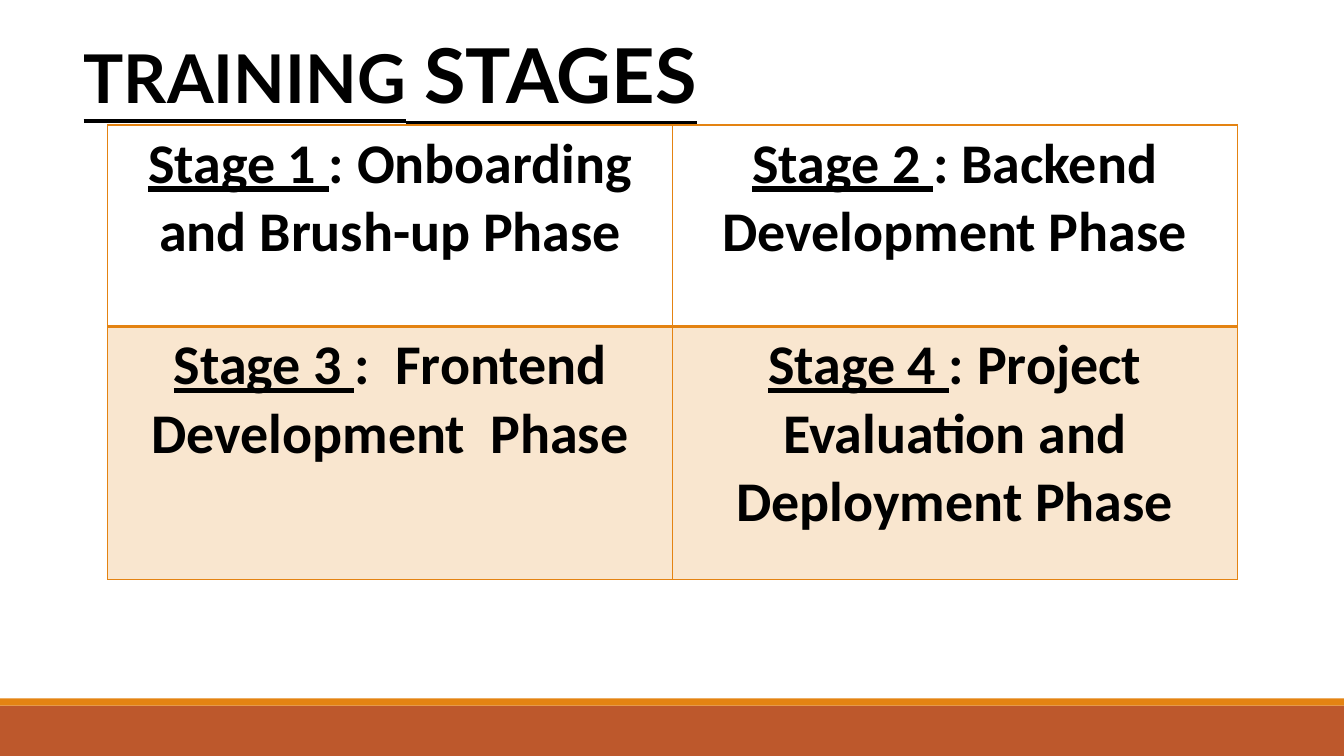
from lxml import etree
from pptx import Presentation
from pptx import util as u
from pptx.dml.color import RGBColor
from pptx.enum import shapes, text
from pptx.oxml.ns import qn

WIDTH, HEIGHT = 13.33, 7.5
BLACK, ORANGE, RUST = "000000", "E48312", "BD582C"

TITLE = [("TRAINING", 48), (" STAGES", 54)]
TITLE_BOX = (0.73, 0.23, 6.36, 1.01)
STAGES = [
    [("Stage 1 ", ": Onboarding and Brush-up Phase"),
     ("Stage 2 ", ": Backend Development Phase")],
    [("Stage 3 ", ":  Frontend Development  Phase"),
     ("Stage 4 ", ": Project Evaluation and Deployment Phase")],
]
GRID_LEFT, GRID_TOP = 1.07, 1.24
COLUMN_WIDTH = 5.6
ROW_HEIGHTS = [2, 2.51]
TINTS = [None, 20]  # percent of orange in each row
DIVIDER = 2         # points, between the two rows
FOOTER = [(7, 0.5, RUST), (6.93, 0.07, ORANGE)]  # top, height, colour


def color(value):
    return RGBColor.from_string(value)


def inches(*values):
    return [u.Inches(v) for v in values]


def add_run(paragraph, words, size, face, underline):
    run = paragraph.add_run()
    run.text = words
    style = {"size": u.Pt(size), "name": face, "bold": True, "underline": underline}
    for key, value in style.items():
        setattr(run.font, key, value)
    run.font.color.rgb = color(BLACK)


def add_borders(cell, widths):
    """Put left, right, top and bottom lines ahead of the cell's fill."""
    properties = cell._tc.get_or_add_tcPr()
    for place, (side, points) in enumerate(zip("LRTB", widths)):
        line = etree.Element(qn(f"a:ln{side}"), w=str(u.Pt(points)))
        solid = etree.SubElement(line, qn("a:solidFill"))
        etree.SubElement(solid, qn("a:srgbClr"), val=ORANGE)
        properties.insert(place, line)


def tint(cell, percent):
    if percent is None:
        cell.fill.background()
        return
    cell.fill.solid()
    cell.fill.fore_color.rgb = color(ORANGE)
    shade = cell._tc.tcPr.find(f"{qn('a:solidFill')}/{qn('a:srgbClr')}")
    etree.SubElement(shade, qn("a:alpha"), val=str(percent * 1000))


def add_footer(slide):
    for top, height, fill in FOOTER:
        band = slide.shapes.add_shape(
            shapes.MSO_SHAPE.RECTANGLE, *inches(0, top, WIDTH, height))
        band.shadow.inherit = False
        band.fill.solid()
        band.fill.fore_color.rgb = color(fill)
        band.line.fill.background()


def add_title(slide):
    title = slide.shapes.title
    for side, value in zip(("left", "top", "width", "height"), inches(*TITLE_BOX)):
        setattr(title, side, value)
    frame = title.text_frame
    frame.word_wrap = False
    frame.auto_size = text.MSO_AUTO_SIZE.SHAPE_TO_FIT_TEXT
    frame.vertical_anchor = text.MSO_ANCHOR.TOP
    heading = frame.paragraphs[0]
    heading.alignment = text.PP_ALIGN.LEFT
    for words, size in TITLE:
        add_run(heading, words, size, "Lato", True)


def add_stages(slide):
    rows, columns = len(STAGES), len(STAGES[0])
    grid = slide.shapes.add_table(rows, columns, *inches(
        GRID_LEFT, GRID_TOP, columns * COLUMN_WIDTH, sum(ROW_HEIGHTS))).table
    grid.first_row = grid.horz_banding = False
    for column in grid.columns:
        column.width = u.Inches(COLUMN_WIDTH)
    for r, stages in enumerate(STAGES):
        grid.rows[r].height = u.Inches(ROW_HEIGHTS[r])
        above = DIVIDER if r else 1
        below = DIVIDER if r < rows - 1 else 1
        for c, (label, phase) in enumerate(stages):
            cell = grid.cell(r, c)
            tint(cell, TINTS[r])
            add_borders(cell, (1, 1, above, below))
            paragraph = cell.text_frame.paragraphs[0]
            paragraph.alignment = text.PP_ALIGN.CENTER
            add_run(paragraph, label, 40, "Calibri", True)
            add_run(paragraph, phase, 40, "Calibri", False)


def main():
    deck = Presentation()
    deck.slide_width, deck.slide_height = inches(WIDTH, HEIGHT)
    slide = deck.slides.add_slide(deck.slide_layouts.get_by_name("Title Only"))
    add_footer(slide)
    add_title(slide)
    add_stages(slide)
    deck.save("out.pptx")


if __name__ == "__main__":
    main()
